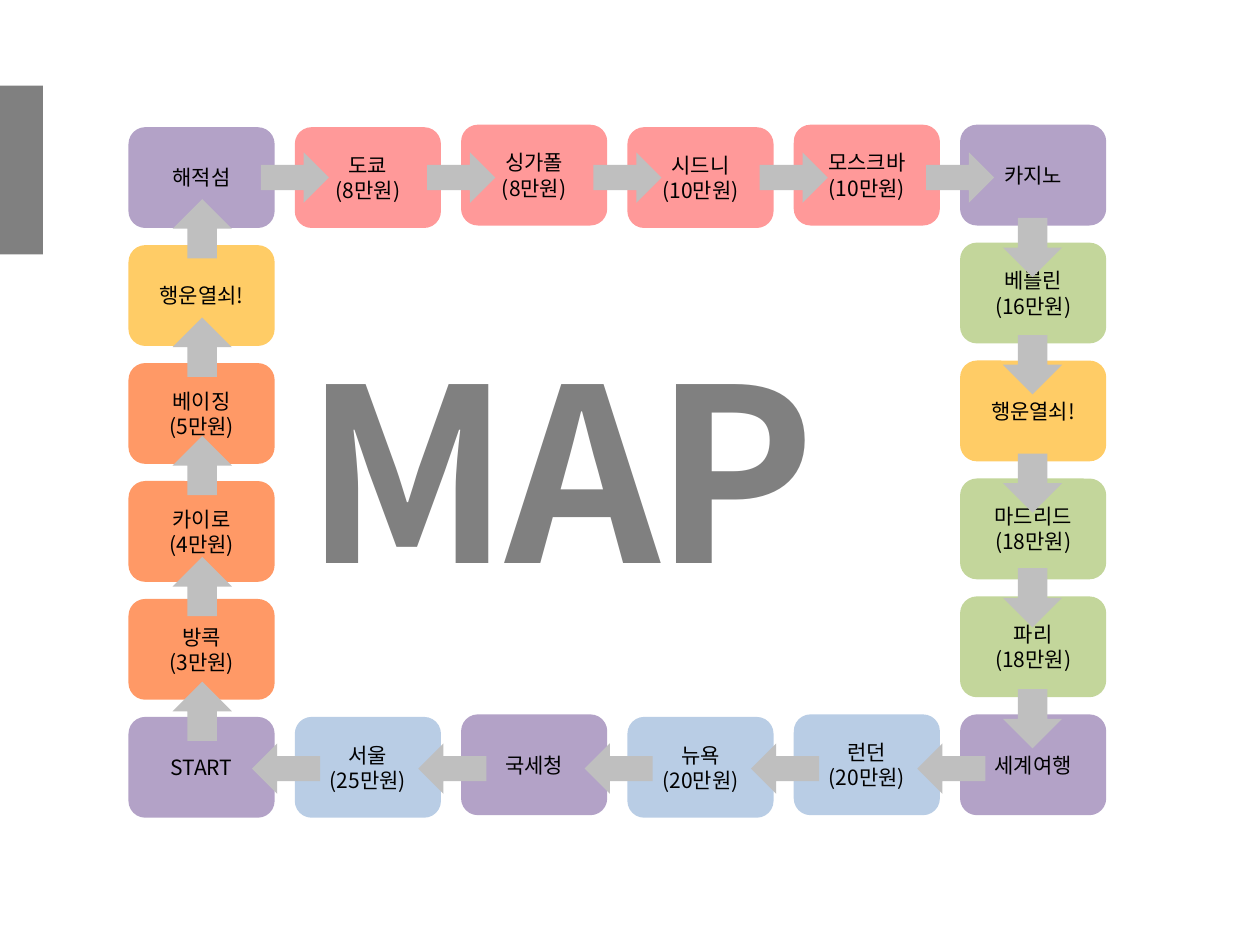
from lxml import etree
from pptx import Presentation
from pptx.dml.color import RGBColor
from pptx.enum.shapes import MSO_SHAPE
from pptx.enum.text import MSO_ANCHOR, MSO_AUTO_SIZE, PP_ALIGN
from pptx.oxml.ns import qn
from pptx.util import Inches, Pt

RECTANGLE = MSO_SHAPE.RECTANGLE
ROUNDED = MSO_SHAPE.ROUNDED_RECTANGLE
ARROW = MSO_SHAPE.RIGHT_ARROW
CENTER = PP_ALIGN.CENTER
MIDDLE = MSO_ANCHOR.MIDDLE
FIT_SHAPE = MSO_AUTO_SIZE.SHAPE_TO_FIT_TEXT

FONT = "Noto Sans CJK KR"
PURPLE, PINK, YELLOW = "B3A2C7", "FF9999", "FFCC66"
ORANGE, GREEN, BLUE = "FF9966", "C3D69B", "B9CDE5"
GREY, DARK_GREY, BLACK = "BFBFBF", "808080", "000000"

# Board grid: six columns and six rows, some columns slightly raised
LEFT, TOP = 1.02, 1.01
COLUMN_STEP, ROW_STEP = 1.32, 0.936
CELL_WIDTH, CELL_HEIGHT = 1.16, 0.8
RAISED_COLUMNS, RAISE = (2, 4, 5), 0.02

presentation = Presentation()
presentation.slide_width = Inches(10)
presentation.slide_height = Inches(7.5)
slide = presentation.slides.add_slide(presentation.slide_layouts[6])


def add_block(kind, left, top, width, height, color, rotation=0):
    shape = slide.shapes.add_shape(
        kind, Inches(left), Inches(top), Inches(width), Inches(height))
    shape.shadow.inherit = False
    shape.fill.solid()
    shape.fill.fore_color.rgb = RGBColor.from_string(color)
    shape.line.fill.background()
    shape.rotation = rotation
    return shape


def add_run(paragraph, text, size, color):
    run = paragraph.add_run()
    run.text = text
    run.font.size = Pt(size)
    run.font.color.rgb = RGBColor.from_string(color)
    run.font.name = FONT
    east_asian = etree.SubElement(run.font._element, qn("a:ea"))
    east_asian.set("typeface", FONT)
    return run


# Side bar
add_block(RECTANGLE, -0.01, 0.68, 0.35, 1.34, DARK_GREY)

# Board cells: column, row, colour, lines of text
cells = [
    (0, 0, PURPLE, ["해적섬"]),
    (1, 0, PINK, ["도쿄", "(8만원)"]),
    (2, 0, PINK, ["싱가폴", "(8만원)"]),
    (3, 0, PINK, ["시드니", "(10만원)"]),
    (4, 0, PINK, ["모스크바", "(10만원)"]),
    (5, 0, PURPLE, ["카지노"]),
    (0, 1, YELLOW, ["행운열쇠!"]),
    (5, 1, GREEN, ["베를린", "(16만원)"]),
    (0, 2, ORANGE, ["베이징", "(5만원)"]),
    (5, 2, YELLOW, ["행운열쇠!"]),
    (0, 3, ORANGE, ["카이로", "(4만원)"]),
    (5, 3, GREEN, ["마드리드", "(18만원)"]),
    (0, 4, ORANGE, ["방콕", "(3만원)"]),
    (5, 4, GREEN, ["파리", "(18만원)"]),
    (0, 5, PURPLE, ["START"]),
    (1, 5, BLUE, ["서울", "(25만원)"]),
    (2, 5, PURPLE, ["국세청"]),
    (3, 5, BLUE, ["뉴욕", "(20만원)"]),
    (4, 5, BLUE, ["런던", "(20만원)"]),
    (5, 5, PURPLE, ["세계여행"]),
]
for column, row, color, lines in cells:
    top = TOP + row * ROW_STEP - (RAISE if column in RAISED_COLUMNS else 0)
    cell = add_block(ROUNDED, LEFT + column * COLUMN_STEP, top,
                     CELL_WIDTH, CELL_HEIGHT, color)
    frame = cell.text_frame
    frame.word_wrap = True
    frame.vertical_anchor = MIDDLE
    for index, line in enumerate(lines):
        paragraph = frame.add_paragraph() if index else frame.paragraphs[0]
        paragraph.alignment = CENTER
        add_run(paragraph, line, 12, BLACK)

# Arrows up the left side and down the right side
for top in (5.41, 4.42, 3.46, 2.52, 1.58):
    add_block(ARROW, 1.37, top, 0.47, 0.47, GREY, 270)
for top in (5.47, 4.51, 3.6, 2.66, 1.73):
    add_block(ARROW, 7.96, top, 0.47, 0.47, GREY, 90)

# Arrows right along the top and left along the bottom
for column in range(5):
    gap_left = LEFT + column * COLUMN_STEP
    add_block(ARROW, gap_left + 1.05, 1.21, 0.54, 0.4, GREY)
    add_block(ARROW, gap_left + 0.98, 5.9, 0.54, 0.4, GREY, 180)

# Large word in the middle of the board
map_box = slide.shapes.add_textbox(
    Inches(2.32), Inches(2.51), Inches(5.19), Inches(2.42))
map_box.text_frame.word_wrap = True
map_box.text_frame.auto_size = FIT_SHAPE
map_run = add_run(map_box.text_frame.paragraphs[0], "MAP", 138, DARK_GREY)
map_run.font.bold = True
map_run.font._element.set("spc", "-300")

presentation.save("out.pptx")
